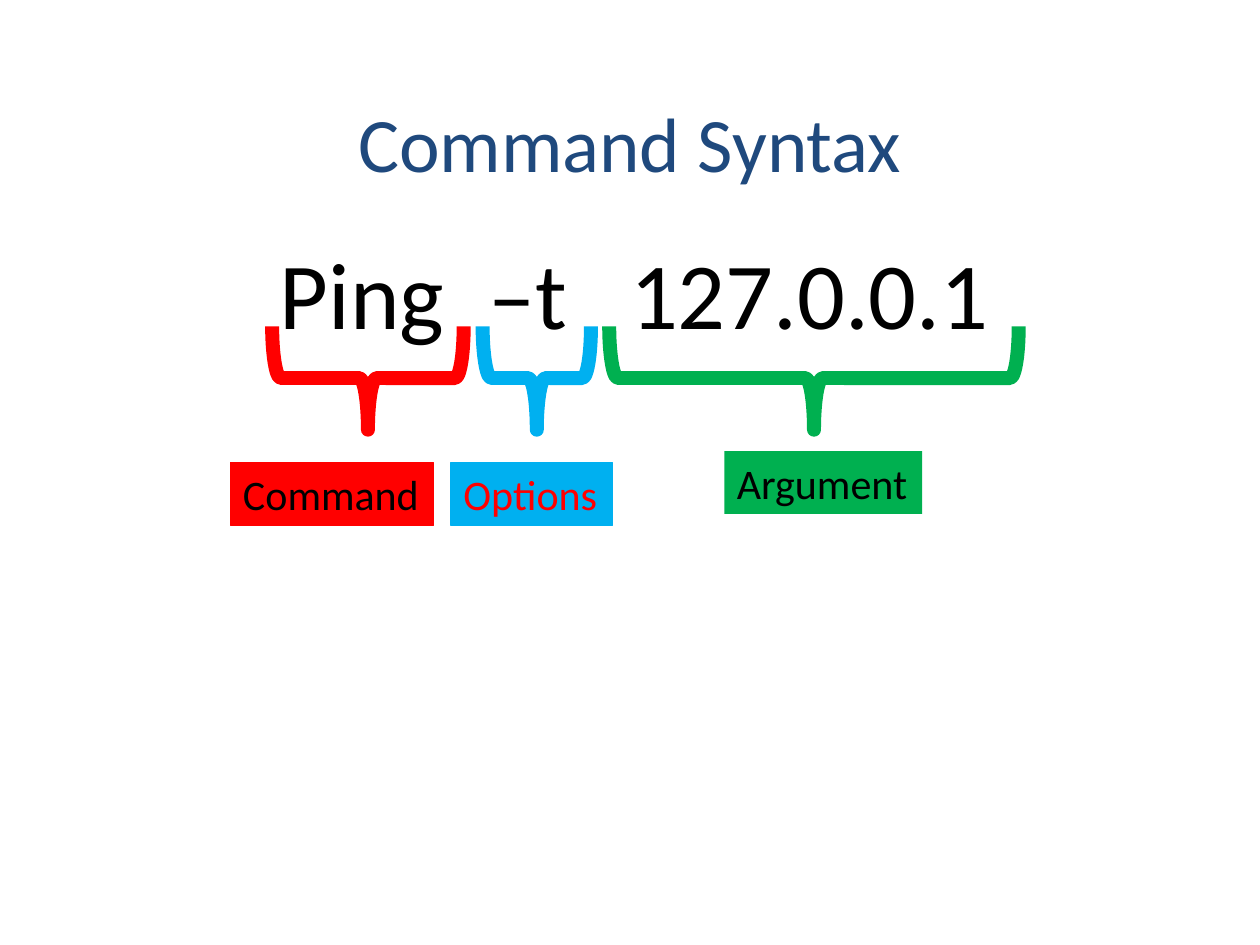
"""Build the command syntax slide with braces and labels under each part."""
from dataclasses import dataclass

from lxml import etree
from pptx import Presentation
from pptx.dml.color import RGBColor
from pptx.enum.shapes import MSO_SHAPE
from pptx.enum.text import MSO_ANCHOR, PP_ALIGN
from pptx.oxml.ns import qn
from pptx.util import Inches, Pt

RECTANGLE, BRACE = MSO_SHAPE.RECTANGLE, MSO_SHAPE.RIGHT_BRACE
TOP, MIDDLE = MSO_ANCHOR.TOP, MSO_ANCHOR.MIDDLE
LEFT, CENTER = PP_ALIGN.LEFT, PP_ALIGN.CENTER


@dataclass(frozen=True)
class Theme:
    font: str = "Calibri"
    title: str = "1F497D"
    ink: str = "000000"
    red: str = "FF0000"
    blue: str = "00B0F0"
    green: str = "00B050"
    title_size: int = 44
    syntax_size: int = 54
    label_size: int = 24
    brace_line: float = 8
    label_line: float = 0.75


THEME = Theme()
WIDTH, HEIGHT = 10, 7.5
MARGIN = 0.69
BODY_WIDTH = WIDTH - 2 * MARGIN
BRACE_MIDDLE, BRACE_DEPTH = 3, 0.82
LABEL_HEIGHT = 0.5

TITLE = "Command Syntax"
PARTS = [
    dict(text="Ping", start=2.22, brace=(2.92, 1.52), color=THEME.red,
         label="Command", box=(1.83, 3.67, 1.61), ink=THEME.ink, outlined=True),
    dict(text="–t", start=3.88, brace=(4.26, 0.86), color=THEME.blue,
         label="Options", box=(3.58, 3.67, 1.28), ink=THEME.red, outlined=True),
    dict(text="127.0.0.1", start=5, brace=(6.46, 3.25), color=THEME.green,
         label="Argument", box=(5.75, 3.58, 1.57), ink=THEME.ink, outlined=False),
]


def write(shape, text, size, color, align=LEFT, anchor=TOP, wrap=True):
    frame = shape.text_frame
    frame.word_wrap = wrap
    frame.vertical_anchor = anchor
    paragraph = frame.paragraphs[0]
    paragraph.text = text
    paragraph.alignment = align
    paragraph.font.name = THEME.font
    paragraph.font.size = Pt(size)
    paragraph.font.color.rgb = RGBColor.from_string(color)
    return paragraph


def add_text(slide, top, height, *content, **layout):
    box = slide.shapes.add_textbox(*map(Inches, (MARGIN, top, BODY_WIDTH, height)))
    return box, write(box, *content, **layout)


def add_shape(slide, kind, bounds, fill=None, line=None, weight=0):
    shape = slide.shapes.add_shape(kind, *map(Inches, bounds))
    shape.shadow.inherit = False
    for target, color in ((shape.fill, fill), (shape.line.fill, line)):
        if color:
            target.solid()
            target.fore_color.rgb = RGBColor.from_string(color)
        else:
            target.background()
    if line:
        shape.line.width = Pt(weight)
    return shape


def add_syntax(slide):
    text = "\t".join(part["text"] for part in PARTS)
    box, paragraph = add_text(slide, 1.92, 4.58, text, THEME.syntax_size, THEME.ink)
    first = PARTS[0]["start"]
    box.text_frame.margin_left = Inches(first - MARGIN)
    paragraph.line_spacing = 0.9
    properties = paragraph._p.get_or_add_pPr()
    stops = etree.Element(qn("a:tabLst"))
    for part in PARTS[1:]:
        etree.SubElement(stops, qn("a:tab"), pos=str(Inches(part["start"] - first)), algn="l")
    properties.find(qn("a:lnSpc")).addnext(stops)


def add_brace(slide, part):
    center, span = part["brace"]
    bounds = (center - BRACE_DEPTH / 2, BRACE_MIDDLE - span / 2, BRACE_DEPTH, span)
    brace = add_shape(slide, BRACE, bounds, line=part["color"], weight=THEME.brace_line)
    brace.rotation = 90


def add_label(slide, part):
    line = part["color"] if part["outlined"] else None
    label = add_shape(slide, RECTANGLE, (*part["box"], LABEL_HEIGHT),
                      part["color"], line, THEME.label_line)
    write(label, part["label"], THEME.label_size, part["ink"], wrap=False)


presentation = Presentation()
presentation.slide_width, presentation.slide_height = Inches(WIDTH), Inches(HEIGHT)
slide = presentation.slides.add_slide(presentation.slide_layouts[6])
add_text(slide, 0.4, 1.45, TITLE, THEME.title_size, THEME.title, align=CENTER, anchor=MIDDLE)
add_syntax(slide)
for add_part in (add_brace, add_label):
    for part in PARTS:
        add_part(slide, part)
presentation.save("out.pptx")
